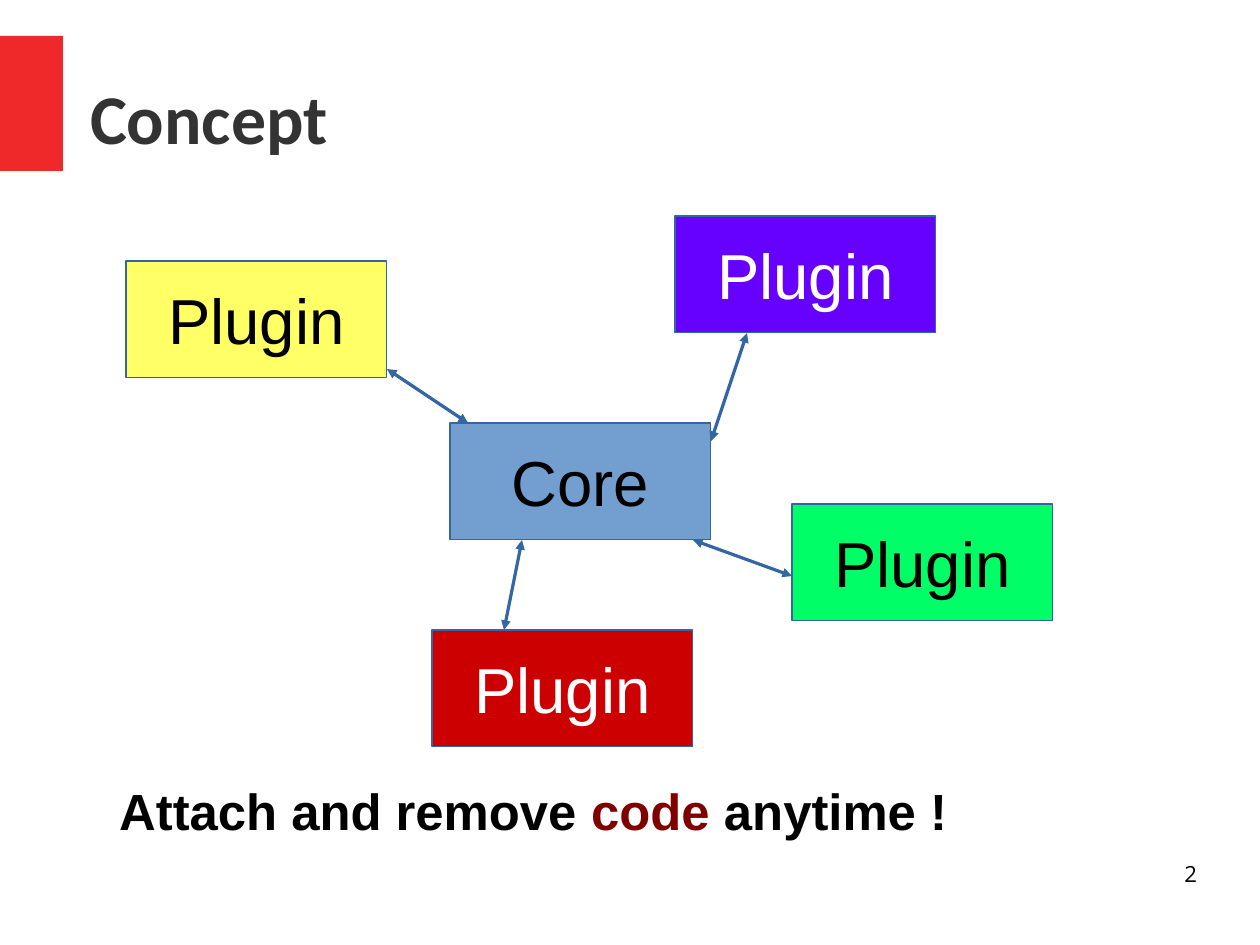
from dataclasses import dataclass

from lxml.etree import SubElement
from pptx import Presentation
from pptx.dml.color import RGBColor
from pptx.enum.shapes import MSO_CONNECTOR, MSO_SHAPE
from pptx.enum.text import MSO_ANCHOR, PP_ALIGN
from pptx.oxml.ns import qn
from pptx.util import Inches, Mm, Pt


@dataclass(frozen=True)
class Theme:
    accent: str = "EF2929"
    heading: str = "333333"
    outline: str = "3465A4"
    core: str = "729FCF"
    violet: str = "6600FF"
    green: str = "00FF66"
    red: str = "CC0000"
    yellow: str = "FFFF66"
    dark: str = "000000"
    light: str = "FFFFFF"
    emphasis: str = "800000"
    heading_font: str = "Calibri"
    body_font: str = "Arial"
    number_font: str = "Open Sans"
    heading_size: int = 44
    block_size: int = 40
    message_size: int = 32
    number_size: int = 14


THEME = Theme()
CELL = Mm(2)
COLUMNS, ROWS = 140, 105
BLOCK_COLUMNS, BLOCK_ROWS = 29, 13


def cells(*counts):
    return [round(count * CELL) for count in counts]


def add_run(paragraph, wording, font, size, color, bold=False):
    run = paragraph.add_run()
    run.text = wording
    run.font.name = font
    run.font.size = Pt(size)
    run.font.bold = bold
    run.font.color.rgb = RGBColor.from_string(color)


def set_insets(frame, side, top):
    frame.margin_left = frame.margin_right = Inches(side)
    frame.margin_top = frame.margin_bottom = Inches(top)


def add_rectangle(slide, area, fill):
    rectangle = slide.shapes.add_shape(MSO_SHAPE.RECTANGLE, *cells(*area))
    rectangle.shadow.inherit = False
    rectangle.fill.solid()
    rectangle.fill.fore_color.rgb = RGBColor.from_string(fill)
    return rectangle


def add_accent(slide):
    add_rectangle(slide, (0, 4, 7, 15), THEME.accent).line.fill.background()


def add_title(slide, wording):
    title = slide.shapes.title
    title.left, title.top, title.width, title.height = cells(10, 4.2, 123, 17.5)
    frame = title.text_frame
    set_insets(frame, 0, 0)
    frame.vertical_anchor = MSO_ANCHOR.MIDDLE
    heading = frame.paragraphs[0]
    heading.alignment = PP_ALIGN.LEFT
    add_run(heading, wording, THEME.heading_font, THEME.heading_size,
            THEME.heading, bold=True)


def add_block(slide, label, column, row, fill, color):
    block = add_rectangle(slide, (column, row, BLOCK_COLUMNS, BLOCK_ROWS), fill)
    block.line.color.rgb = RGBColor.from_string(THEME.outline)
    block.line.width = Pt(0)
    frame = block.text_frame
    frame.word_wrap = False
    frame.vertical_anchor = MSO_ANCHOR.MIDDLE
    set_insets(frame, 0.1, 0.05)
    frame.paragraphs[0].alignment = PP_ALIGN.CENTER
    add_run(frame.paragraphs[0], label, THEME.body_font, THEME.block_size, color)


def add_link(slide, start, end):
    link = slide.shapes.add_connector(
        MSO_CONNECTOR.STRAIGHT, *cells(*start, *end))
    link.line.color.rgb = RGBColor.from_string(THEME.outline)
    link.line.width = Pt(0)
    properties = link._element.spPr
    outline = properties.find(qn("a:ln"))
    for arrowhead in ("a:headEnd", "a:tailEnd"):
        SubElement(outline, qn(arrowhead), type="triangle")
    SubElement(properties, qn("a:effectLst"))


def add_text(slide, area, inset, alignment, font, size, parts, bold=False):
    frame = slide.shapes.add_textbox(*cells(*area)).text_frame
    frame.word_wrap = True
    set_insets(frame, inset, inset / 2)
    frame.paragraphs[0].alignment = alignment
    for wording, color in parts:
        add_run(frame.paragraphs[0], wording, font, size, color, bold)


def main():
    deck = Presentation()
    deck.slide_width, deck.slide_height = cells(COLUMNS, ROWS)
    slide = deck.slides.add_slide(deck.slide_layouts[5])

    add_accent(slide)
    add_title(slide, "Concept")

    for label, column, row, fill, color in (
        ("Core", 50, 47, THEME.core, THEME.dark),
        ("Plugin", 75, 24, THEME.violet, THEME.light),
        ("Plugin", 88, 56, THEME.green, THEME.dark),
        ("Plugin", 48, 70, THEME.red, THEME.light),
        ("Plugin", 14, 29, THEME.yellow, THEME.dark),
    ):
        add_block(slide, label, column, row, fill, color)

    for start, end in (
        ((43, 41), (52, 47)),
        ((83, 37), (79, 49)),
        ((88, 64), (77, 60)),
        ((58, 60), (56, 70)),
    ):
        add_link(slide, start, end)

    add_text(slide, (12, 86, 102, 7.6), 0.1, PP_ALIGN.LEFT,
             THEME.body_font, THEME.message_size,
             (("Attach and remove ", THEME.dark),
              ("code", THEME.emphasis),
              (" anytime !", THEME.dark)), bold=True)
    add_text(slide, (100.4, 95.6, 32.6, 7.2), 0, PP_ALIGN.RIGHT,
             THEME.number_font, THEME.number_size, (("2", THEME.dark),))

    deck.save("out.pptx")


if __name__ == "__main__":
    main()
